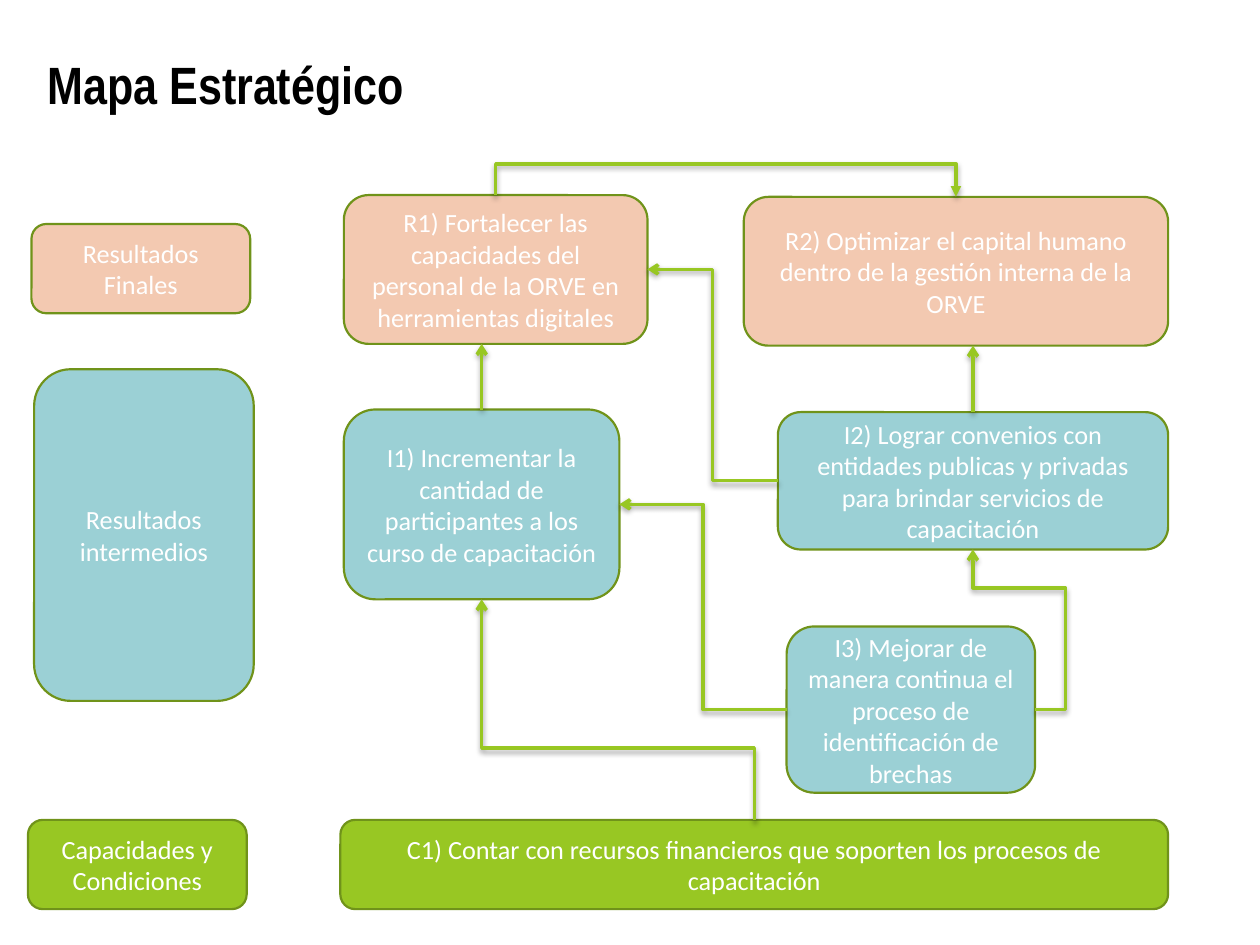
from dataclasses import dataclass

import pptx
import pptx.dml.color
import pptx.enum.shapes
import pptx.enum.text
import pptx.oxml
import pptx.oxml.ns
import pptx.util

Pt = pptx.util.Pt
RGB = pptx.dml.color.RGBColor.from_string
SHAPES = pptx.enum.shapes.MSO_SHAPE
CONNECTORS = pptx.enum.shapes.MSO_CONNECTOR
TEXT = pptx.enum.text
qn = pptx.oxml.ns.qn


@dataclass(frozen=True)
class Theme:
    final: str = "F3C9B1"
    intermediate: str = "9BD0D5"
    capacity: str = "98C723"
    outline: str = "70931A"
    arrow: str = "98C723"
    box_text: str = "FFFFFF"
    title_text: str = "000000"
    title_font: str = "Arial Narrow"
    box_font: str = "Calibri"
    title_size: float = 30
    box_size: float = 15
    outline_width: float = 1.25
    arrow_width: float = 2


THEME = Theme()

# Wording, fill, and left, top, width, height within the region
LEVELS = [
    ("Resultados Finales", THEME.final, (2, 0, 125, 51)),
    ("Resultados intermedios", THEME.intermediate, (3.5, 83, 125.5, 189.5)),
    ("Capacidades y Condiciones", THEME.capacity, (0, 340.5, 125, 51)),
]
GOALS = {
    "R1": ("Fortalecer las capacidades del personal de la ORVE en herramientas digitales",
           THEME.final, (2, 18, 173.5, 85)),
    "R2": ("Optimizar el capital humano dentro de la gestión interna de la ORVE",
           THEME.final, (230.5, 19, 242.5, 85)),
    "I1": ("Incrementar la cantidad de participantes a los curso de capacitación",
           THEME.intermediate, (2, 140.5, 157.5, 108.5)),
    "I2": ("Lograr convenios con entidades publicas y privadas para brindar servicios "
           "de capacitación", THEME.intermediate, (250, 142, 223, 78.5)),
    "I3": ("Mejorar de manera continua el proceso de identificación de brechas",
           THEME.intermediate, (255, 264.5, 142, 95)),
    "C1": ("Contar con recursos financieros que soporten los procesos de capacitación",
           THEME.capacity, (0, 375, 473, 51)),
}


def format_runs(text_frame, font, size, color, bold=False):
    for paragraph in text_frame.paragraphs:
        for run in paragraph.runs:
            run.font.name = font
            run.font.size = Pt(size)
            run.font.bold = bold
            run.font.color.rgb = RGB(color)


def add_title(slide, box, wording):
    title = slide.shapes.title
    title.left, title.top, title.width, title.height = map(Pt, box)
    frame = title.text_frame
    frame.text = wording
    frame.word_wrap = False
    frame.auto_size = TEXT.MSO_AUTO_SIZE.SHAPE_TO_FIT_TEXT
    frame.vertical_anchor = TEXT.MSO_ANCHOR.TOP
    frame.paragraphs[0].alignment = TEXT.PP_ALIGN.LEFT
    format_runs(frame, THEME.title_font, THEME.title_size, THEME.title_text, True)


def add_card(slide, origin, box, wording, fill):
    left, top, width, height = box
    card = slide.shapes.add_shape(SHAPES.ROUNDED_RECTANGLE, Pt(origin[0] + left),
                                  Pt(origin[1] + top), Pt(width), Pt(height))
    card.shadow.inherit = False
    card.fill.solid()
    card.fill.fore_color.rgb = RGB(fill)
    card.line.color.rgb = RGB(THEME.outline)
    card.line.width = Pt(THEME.outline_width)
    frame = card.text_frame
    frame.text = wording
    frame.word_wrap = True
    frame.vertical_anchor = TEXT.MSO_ANCHOR.MIDDLE
    frame.paragraphs[0].alignment = TEXT.PP_ALIGN.CENTER
    format_runs(frame, THEME.box_font, THEME.box_size, THEME.box_text)


def style_arrow(arrow, end, head):
    """Put the arrowhead at "headEnd" (start) or "tailEnd" (finish)."""
    arrow.line.color.rgb = RGB(THEME.arrow)
    arrow.line.width = Pt(THEME.arrow_width)
    properties = arrow.line._get_or_add_ln()
    properties.append(properties.makeelement(qn(f"a:{end}"), {"type": head}))
    arrow._element.spPr.append(pptx.oxml.parse_xml(
        f'<a:effectLst {pptx.oxml.ns.nsdecls("a")}>'
        '<a:outerShdw blurRad="40000" dist="23000" dir="5400000" rotWithShape="0">'
        '<a:srgbClr val="000000"><a:alpha val="35000"/></a:srgbClr>'
        '</a:outerShdw></a:effectLst>'))


def add_arrow(slide, origin, start, finish, kind=CONNECTORS.STRAIGHT, bends=(),
              end="tailEnd", head="arrow"):
    """Each bend is the share of the way at which the elbow turns."""
    (x1, y1), (x2, y2) = [(origin[0] + x, origin[1] + y) for x, y in (start, finish)]
    arrow = slide.shapes.add_connector(kind, Pt(x1), Pt(y1), Pt(x2), Pt(y2))
    geometry = arrow._element.spPr.find(qn("a:prstGeom"))
    if bends:
        geometry.set("prst", f"bentConnector{len(bends) + 2}")
        guides = geometry.get_or_add_avLst()
        for number, bend in enumerate(bends, 1):
            guides.append(guides.makeelement(qn("a:gd"), {
                "name": f"adj{number}", "fmla": f"val {round(bend * 100000)}"}))
    style_arrow(arrow, end, head)
    return arrow


def add_rising_elbow(slide, origin, start, finish, turn_y, **style):
    """Elbow that leaves upwards, turns left at turn_y and ends vertically."""
    rise, run = start[1] - finish[1], start[0] - finish[0]
    arrow = add_arrow(slide, origin, start, finish, CONNECTORS.ELBOW,
                      [(start[1] - turn_y) / rise], **style)
    center_x = origin[0] + (start[0] + finish[0]) / 2
    center_y = origin[1] + (start[1] + finish[1]) / 2
    arrow.left, arrow.top = Pt(center_x - rise / 2), Pt(center_y - run / 2)
    arrow.width, arrow.height = Pt(rise), Pt(run)
    arrow.rotation = 270
    transform = arrow._element.spPr.find(qn("a:xfrm"))
    transform.set("flipH", "0")
    transform.set("flipV", "1")


def side(goal, name):
    left, top, width, height = GOALS[goal][2]
    return {
        "top": (left + width / 2, top),
        "bottom": (left + width / 2, top + height),
        "left": (left, top + height / 2),
        "right": (left + width, top + height / 2),
    }[name]


def add_levels(slide, origin):
    for wording, fill, box in LEVELS:
        add_card(slide, origin, box, wording, fill)


def add_goal_map(slide, origin):
    for code, (wording, fill, box) in GOALS.items():
        add_card(slide, origin, box, f"{code}) {wording}", fill)

    for lower, upper in (("I1", "R1"), ("I2", "R2")):
        x, y = side(lower, "top")
        add_arrow(slide, origin, (x, y), (x, side(upper, "bottom")[1]))

    for source, target in (("I3", "I1"), ("I2", "R1")):
        add_arrow(slide, origin, side(source, "left"), side(target, "right"),
                  CONNECTORS.ELBOW, [0.5])

    start, finish = side("I3", "right"), side("I2", "bottom")
    turn = (start[0] + 17.5, finish[1] + 22)
    add_arrow(slide, origin, start, finish, CONNECTORS.ELBOW,
              [(turn[i] - start[i]) / (finish[i] - start[i]) for i in (0, 1)])

    add_rising_elbow(slide, origin, side("C1", "top"), side("I1", "bottom"), 334)
    add_rising_elbow(slide, origin, side("R2", "top"), side("R1", "top"), 0,
                     end="headEnd", head="triangle")


def main():
    deck = pptx.Presentation()
    deck.slide_width, deck.slide_height = Pt(720), Pt(540)
    slide = deck.slides.add_slide(deck.slide_layouts[5])
    add_title(slide, (20, 26, 220.5, 44), "Mapa Estratégico")
    add_levels(slide, (16, 128))
    add_goal_map(slide, (194.5, 93.5))
    deck.save("out.pptx")


if __name__ == "__main__":
    main()
